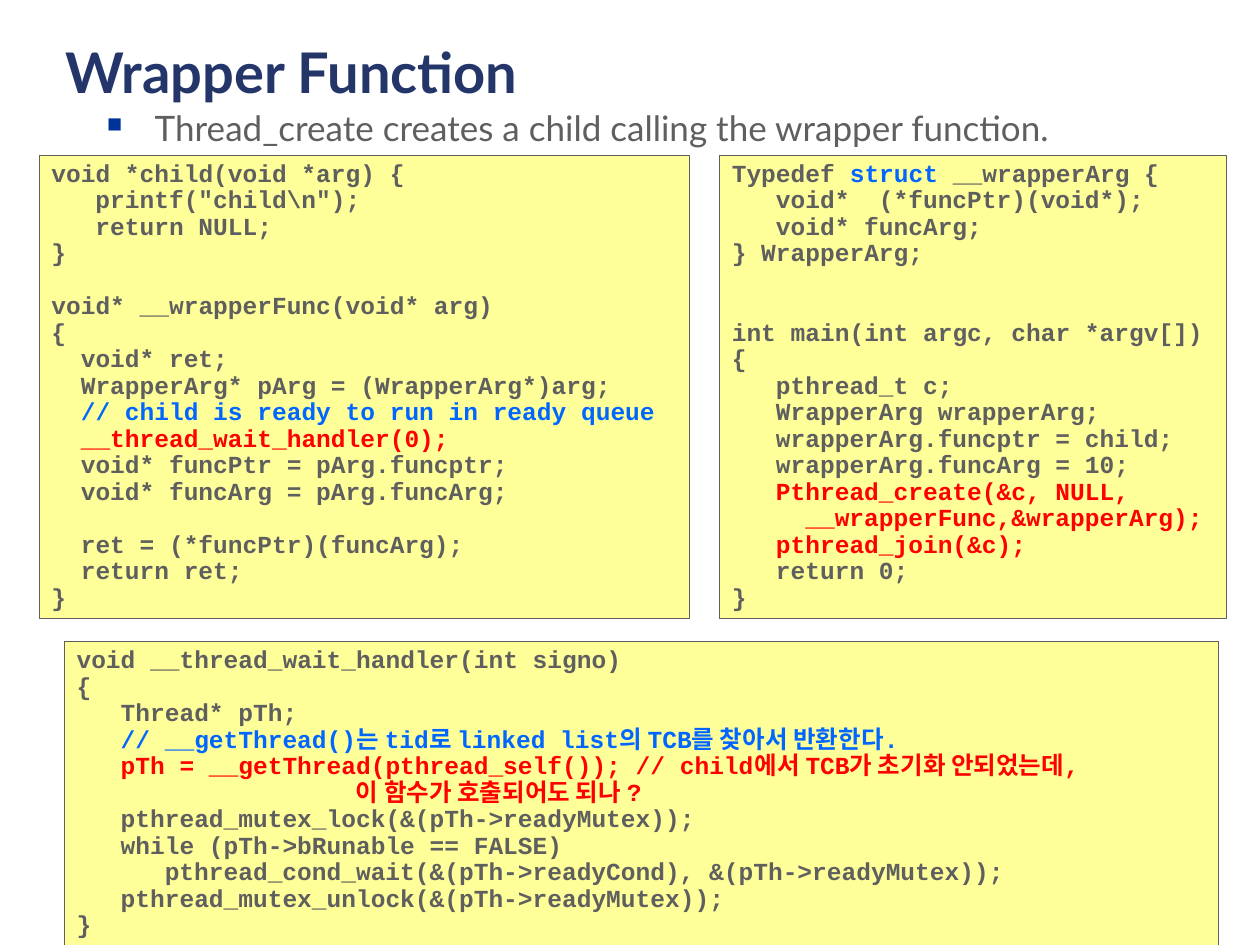
from dataclasses import dataclass, field

from lxml.etree import SubElement
from pptx import Presentation
from pptx.dml.color import RGBColor
from pptx.enum.shapes import MSO_SHAPE
from pptx.enum.text import MSO_ANCHOR, PP_ALIGN
from pptx.oxml.ns import qn
from pptx.util import Inches, Pt

GRAY, NAVY, BLUE, RED = "5F5F5F", "24356A", "0066FF", "FF0000"
YELLOW, BULLET = "FFFF99", "003399"


def color(value):
    return RGBColor.from_string(value)


@dataclass
class Line:
    column: float
    text: str
    ink: str = GRAY
    blank_before: int = 0
    more: list = field(default_factory=list)


class SlideWriter:
    text_font = "Lato"
    code_font = "Courier New"
    code_size = 14
    column_width = 8.4
    line_height = 15.15

    def __init__(self, slide):
        self.slide = slide

    def add_run(self, para, text, font, size, ink, bold=False):
        span = para.add_run()
        span.text = text
        span.font.name = font
        span.font.size = Pt(size)
        span.font.bold = bold
        span.font.color.rgb = color(ink)

    def set_indent(self, para, left, first=0):
        properties = para._p.get_or_add_pPr()
        properties.set("marL", str(int(left)))
        properties.set("indent", str(int(first)))
        return properties

    def set_margins(self, frame):
        frame.word_wrap = True
        frame.vertical_anchor = MSO_ANCHOR.TOP
        frame.margin_left = frame.margin_right = Inches(0.1)
        frame.margin_top = frame.margin_bottom = Inches(0.05)

    def title(self, text, left, top, width, height):
        box = self.slide.shapes.title
        box.left, box.top = Inches(left), Inches(top)
        box.width, box.height = Inches(width), Inches(height)
        self.set_margins(box.text_frame)
        para = box.text_frame.paragraphs[0]
        para.alignment = PP_ALIGN.LEFT
        self.add_run(para, text, self.text_font, 32, NAVY, True)

    def bullet(self, text, left, top, width, height):
        box = self.slide.shapes.add_textbox(
            Inches(left), Inches(top), Inches(width), Inches(height))
        self.set_margins(box.text_frame)
        para = box.text_frame.paragraphs[0]
        para.space_before = Pt(5)
        properties = self.set_indent(para, Inches(0.38), -Inches(0.38))
        ink = SubElement(properties, qn("a:buClr"))
        SubElement(ink, qn("a:srgbClr"), val=BULLET)
        SubElement(properties, qn("a:buSzPct"), val="60000")
        SubElement(properties, qn("a:buChar"), char="■")
        self.add_run(para, text, self.text_font, 20, GRAY)

    def code(self, lines, left, top, width, height):
        box = self.slide.shapes.add_shape(
            MSO_SHAPE.RECTANGLE,
            Inches(left), Inches(top), Inches(width), Inches(height))
        box.shadow.inherit = False
        box.fill.solid()
        box.fill.fore_color.rgb = color(YELLOW)
        box.line.color.rgb = color(GRAY)
        box.line.width = Pt(0.25)
        frame = box.text_frame
        self.set_margins(frame)
        for number, line in enumerate(lines):
            para = frame.add_paragraph() if number else frame.paragraphs[0]
            para.alignment = PP_ALIGN.LEFT
            para.line_spacing = 0.9
            para.space_before = Pt(line.blank_before * self.line_height)
            self.set_indent(para, Pt(line.column * self.column_width))
            for text, ink in [(line.text, line.ink), *line.more]:
                self.add_run(para, text, self.code_font, self.code_size, ink, True)


CHILD_CODE = [
    Line(0, "void *child(void *arg) {"),
    Line(3, 'printf("child\\n");'),
    Line(3, "return NULL;"),
    Line(0, "}"),
    Line(0, "void* __wrapperFunc(void* arg)", blank_before=1),
    Line(0, "{"),
    Line(2, "void* ret;"),
    Line(2, "WrapperArg* pArg = (WrapperArg*)arg;"),
    Line(2, "// child is ready to run in ready queue", BLUE),
    Line(2, "__thread_wait_handler(0);", RED),
    Line(2, "void* funcPtr = pArg.funcptr;"),
    Line(2, "void* funcArg = pArg.funcArg;"),
    Line(2, "ret = (*funcPtr)(funcArg);", blank_before=1),
    Line(2, "return ret;"),
    Line(0, "}"),
]

MAIN_CODE = [
    Line(0, "Typedef ", more=[("struct", BLUE), (" __wrapperArg {", GRAY)]),
    Line(3, "void*  (*funcPtr)(void*);"),
    Line(3, "void* funcArg;"),
    Line(0, "} WrapperArg;"),
    Line(0, "int main(int argc, char *argv[])", blank_before=2),
    Line(0, "{"),
    Line(3, "pthread_t c;"),
    Line(3, "WrapperArg wrapperArg;"),
    Line(3, "wrapperArg.funcptr = child;"),
    Line(3, "wrapperArg.funcArg = 10;"),
    Line(3, "Pthread_create(&c, NULL,", RED),
    Line(5, "__wrapperFunc,&wrapperArg);", RED),
    Line(3, "pthread_join(&c);", RED),
    Line(3, "return 0;"),
    Line(0, "}"),
]

HANDLER_CODE = [
    Line(0, "void __thread_wait_handler(int signo)"),
    Line(0, "{"),
    Line(3, "Thread* pTh;"),
    Line(3, "// __getThread()는 tid로 linked list의 TCB를 찾아서 반환한다.", BLUE),
    Line(3, "pTh = __getThread(pthread_self()); // child에서 TCB가 초기화 안되었는데,", RED),
    Line(19, "이 함수가 호출되어도 되나 ?", RED),
    Line(3, "pthread_mutex_lock(&(pTh->readyMutex));"),
    Line(3, "while (pTh->bRunable == FALSE)"),
    Line(6, "pthread_cond_wait(&(pTh->readyCond), &(pTh->readyMutex));"),
    Line(3, "pthread_mutex_unlock(&(pTh->readyMutex));"),
    Line(0, "}"),
]


def main():
    deck = Presentation()
    deck.slide_width, deck.slide_height = Inches(10), Inches(7.5)
    page = SlideWriter(deck.slides.add_slide(deck.slide_layouts[5]))
    page.title("Wrapper Function", 0.42, 0.25, 9.03, 1.22)
    page.code(CHILD_CODE, 0.31, 1.23, 5.16, 3.68)
    page.code(MAIN_CODE, 5.71, 1.23, 4.02, 3.68)
    page.bullet("Thread_create creates a child calling the wrapper function.",
                0.75, 0.8, 9.04, 0.63)
    page.code(HANDLER_CODE, 0.51, 5.09, 9.16, 2.42)
    deck.save("out.pptx")


if __name__ == "__main__":
    main()
